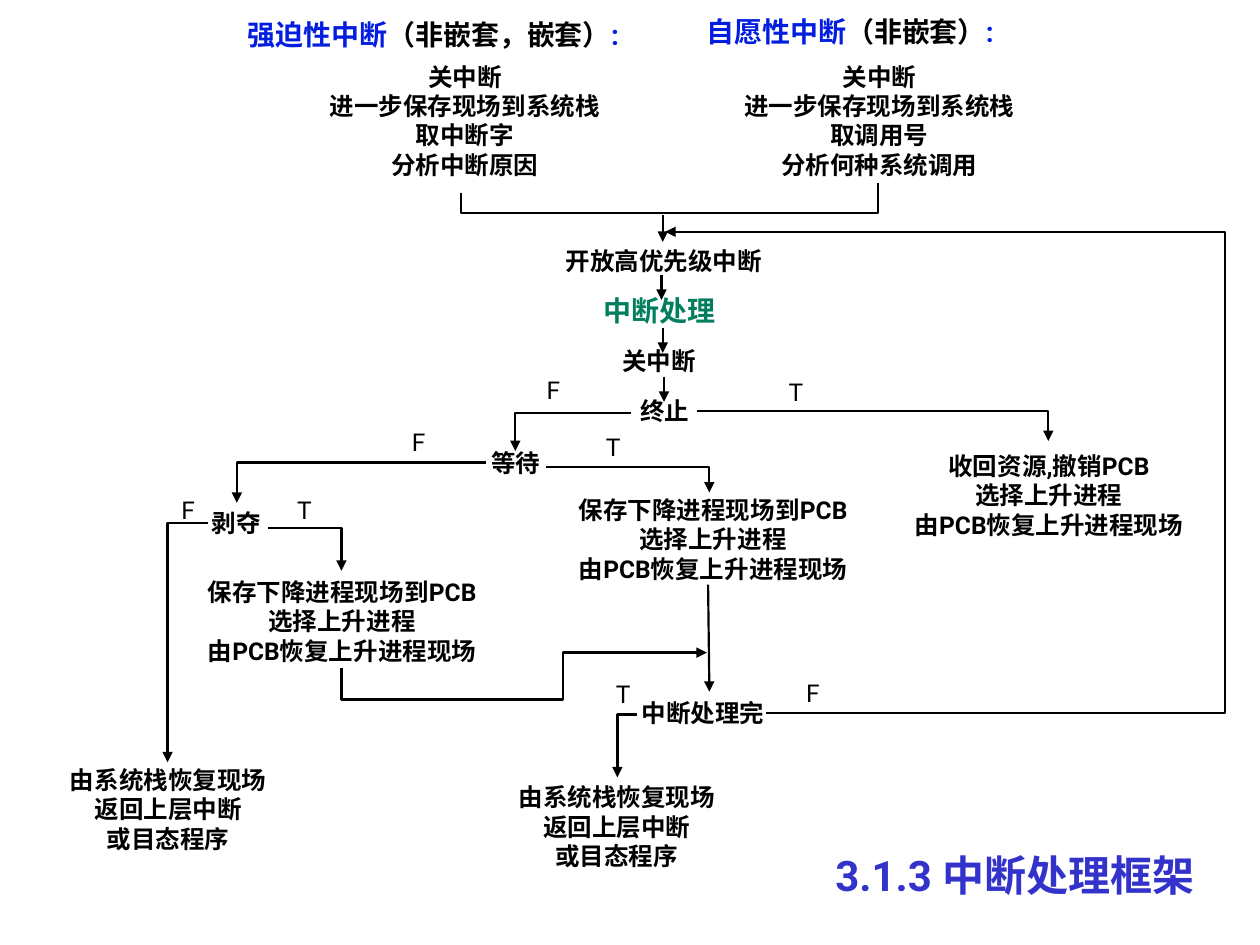
from lxml import etree
from pptx import Presentation
from pptx import util as u
from pptx.dml.color import RGBColor
from pptx.enum import shapes, text
from pptx.oxml.ns import qn

PX = u.Inches(1) // 100  # 100 px to the inch
BLACK, BLUE, GREEN, NAVY = "000000", "041EE0", "007E5D", "3333CC"
LEFT, MID = text.PP_ALIGN.LEFT, text.PP_ALIGN.CENTER

# Wording shared by several steps
SWITCH = ["选择上升进程", "由PCB恢复上升进程现场"]
SAVE = ["保存下降进程现场到PCB"] + SWITCH
BACK = ["由系统栈恢复现场", "返回上层中断", "或目态程序"]
STACK = ["关中断", "进一步保存现场到系统栈"]

# Headings: left, top, width, height, coloured runs
HEADS = [
    (187, 9, 323, 37, [("强迫性中断", BLUE), ("（非嵌套，嵌套）", BLACK), (":", BLUE)]),
    (551, 7, 254, 37, [("自愿性中断", BLUE), ("（非嵌套）", BLACK), (":", BLUE)]),
    (469, 228, 111, 37, [("中断处理", GREEN)]),
]
TITLE = (630, 669, 351, 50, [("3.1.3 中断处理框架", NAVY)])

# Steps: left, top, width, lines
STEPS = [
    (231, 44, 276, STACK + ["取中断字", "分析中断原因"]),
    (573, 44, 250, STACK + ["取调用号", "分析何种系统调用"]),
    (401, 190, 252, ["开放高优先级中断"]),
    (471, 270, 104, ["关中断"]),
    (492, 309, 71, ["终止"]),
    (374, 351, 71, ["等待"]),
    (152, 398, 71, ["剥夺"]),
    (697, 353, 271, ["收回资源,撤销PCB"] + SWITCH),
    (423, 388, 286, SAVE),
    (141, 453, 261, SAVE),
    (497, 549, 122, ["中断处理完"]),
    (38, 602, 191, BACK),
    (380, 616, 219, BACK),
]
HIGH = {1: 34, 3: 80, 4: 104}  # box height by number of lines

# Branch letters: left, top
MARKS = {
    "T": [(226, 388), (616, 294), (471, 338), (479, 534)],
    "F": [(134, 388), (424, 293), (317, 334), (630, 533)],
}

# Routes: points, line width, arrow at the end
ROUTES = [
    ([(366, 153), (366, 169), (697, 169), (697, 145)], 1.25, False),
    ([(526, 171), (526, 192)], 1.25, True),
    ([(525, 218), (525, 238)], 1.25, True),
    ([(526, 260), (526, 280)], 1.25, True),
    ([(527, 299), (527, 319)], 1.25, True),
    ([(553, 326), (832, 326), (832, 350)], 1.25, True),
    ([(501, 328), (409, 328), (409, 358)], 1.25, True),
    ([(433, 371), (563, 371), (563, 391)], 1.25, True),
    ([(386, 367), (188, 367), (188, 399)], 1.25, True),
    ([(213, 419), (271, 419), (271, 453)], 1.25, True),
    ([(165, 415), (133, 415), (133, 605)], 1.25, True),
    ([(562, 464), (563, 549)], 1.25, True),
    ([(608, 566), (972, 566), (972, 184), (528, 184)], 1.25, True),
    ([(506, 567), (490, 567), (490, 617)], 1.5, True),
    ([(271, 530), (271, 555), (447, 555), (447, 518), (561, 518)], 1.5, True),
]


def rgb(code):
    return RGBColor.from_string(code)


def write(x, y, w, h, rows, size, bold=True, align=MID):
    """Add a text box; each row is a list of (words, colour) runs."""
    box = slide.shapes.add_textbox(*(n * PX for n in (x, y, w, h)))
    frame = box.text_frame
    look = {"word_wrap": True, "auto_size": text.MSO_AUTO_SIZE.SHAPE_TO_FIT_TEXT}
    for key, val in look.items():
        setattr(frame, key, val)
    for i, row in enumerate(rows):
        para = frame.add_paragraph() if i else frame.paragraphs[0]
        para.alignment = align
        for words, code in row:
            run = para.add_run()
            run.text = words
            for key, val in {"name": "Roboto", "size": u.Pt(size), "bold": bold}.items():
                setattr(run.font, key, val)
            run.font.color.rgb = rgb(code)


def draw(points, width, arrow):
    """Draw a straight connector or a bent open outline."""
    spots = [(x * PX, y * PX) for x, y in points]
    if len(spots) == 2:
        line = slide.shapes.add_connector(shapes.MSO_CONNECTOR.STRAIGHT, *spots[0], *spots[1])
    else:
        path = slide.shapes.build_freeform(*spots[0])
        path.add_line_segments(spots[1:], close=False)
        line = path.convert_to_shape()
        line.fill.background()
    line.line.color.rgb = rgb(BLACK)
    line.line.width = u.Pt(width)
    if arrow:
        etree.SubElement(line.line._get_or_add_ln(), qn("a:tailEnd"), type="triangle")
    etree.SubElement(line._element.spPr, qn("a:effectLst"))


deck = Presentation()
deck.slide_width, deck.slide_height = 1000 * PX, 750 * PX
slide = deck.slides.add_slide(deck.slide_layouts[6])

# Lines below, words above
for route in ROUTES:
    draw(*route)
for *place, runs in HEADS:
    write(*place, [runs], 16, align=LEFT)
for x, y, w, lines in STEPS:
    write(x, y, w, HIGH[len(lines)], [[(words, BLACK)] for words in lines], 14)
for mark, spots in MARKS.items():
    for x, y in spots:
        write(x, y, 32, 34, [[(mark, BLACK)]], 14, bold=False, align=LEFT)
*place, runs = TITLE
write(*place, [runs], 24)

deck.save("out.pptx")
